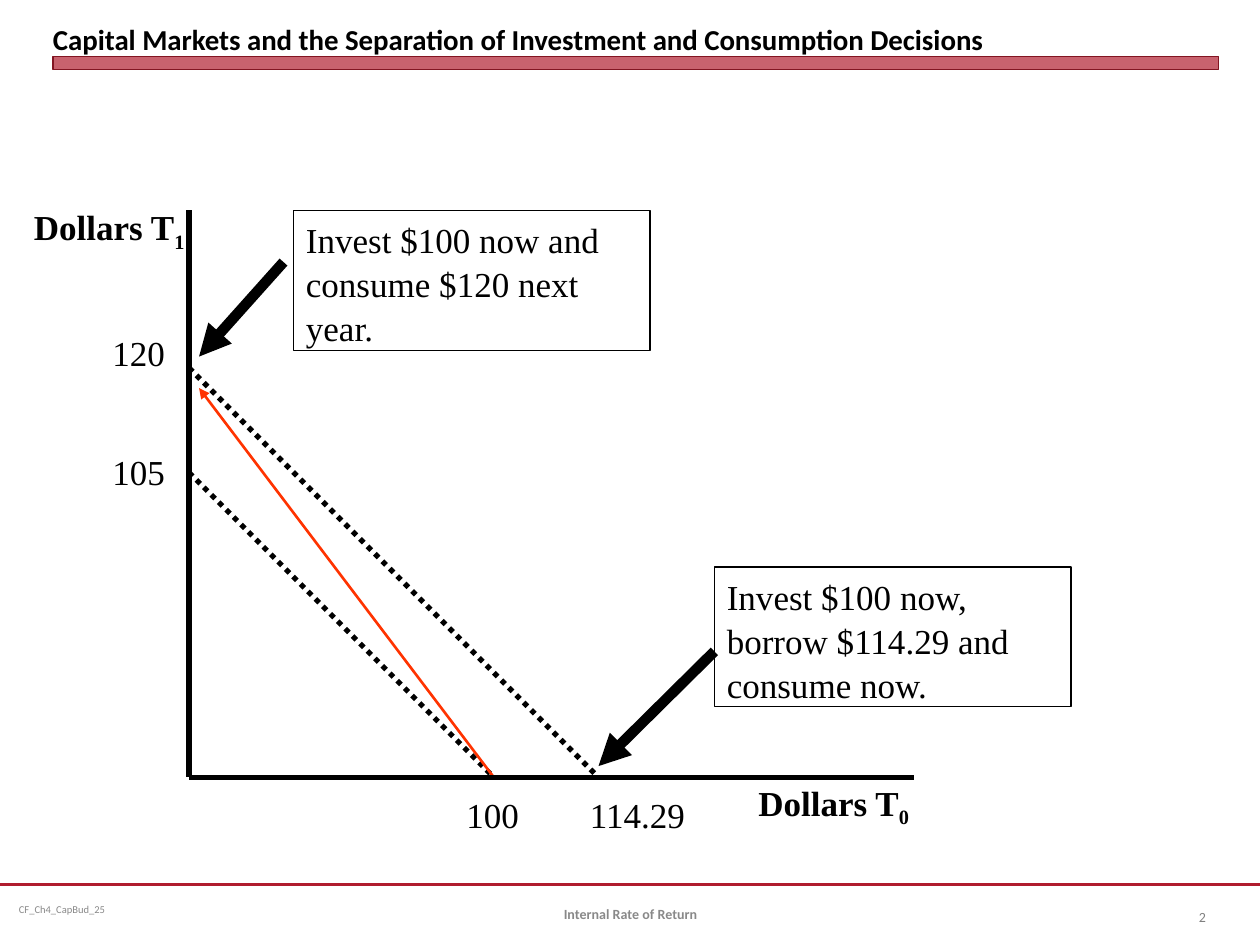
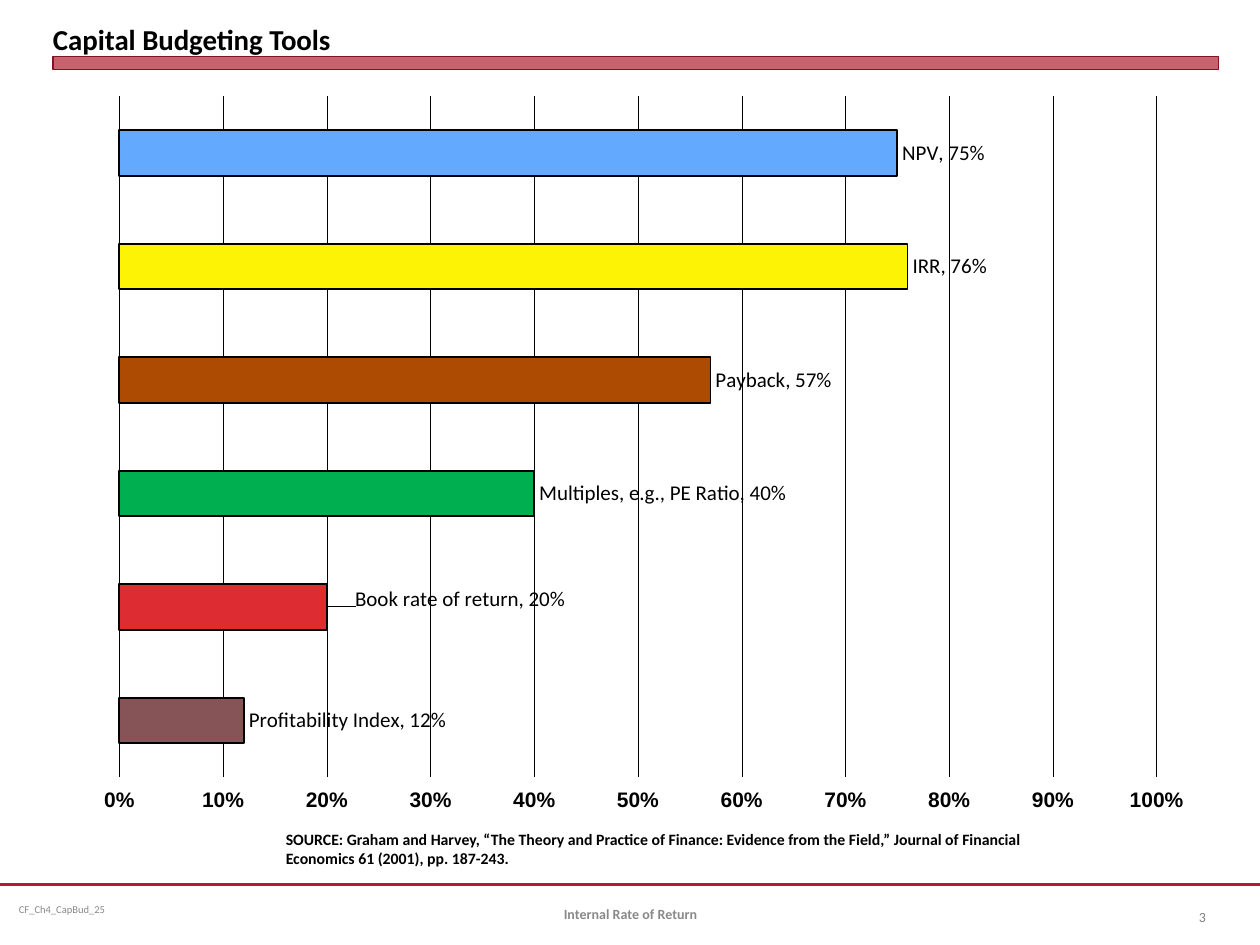
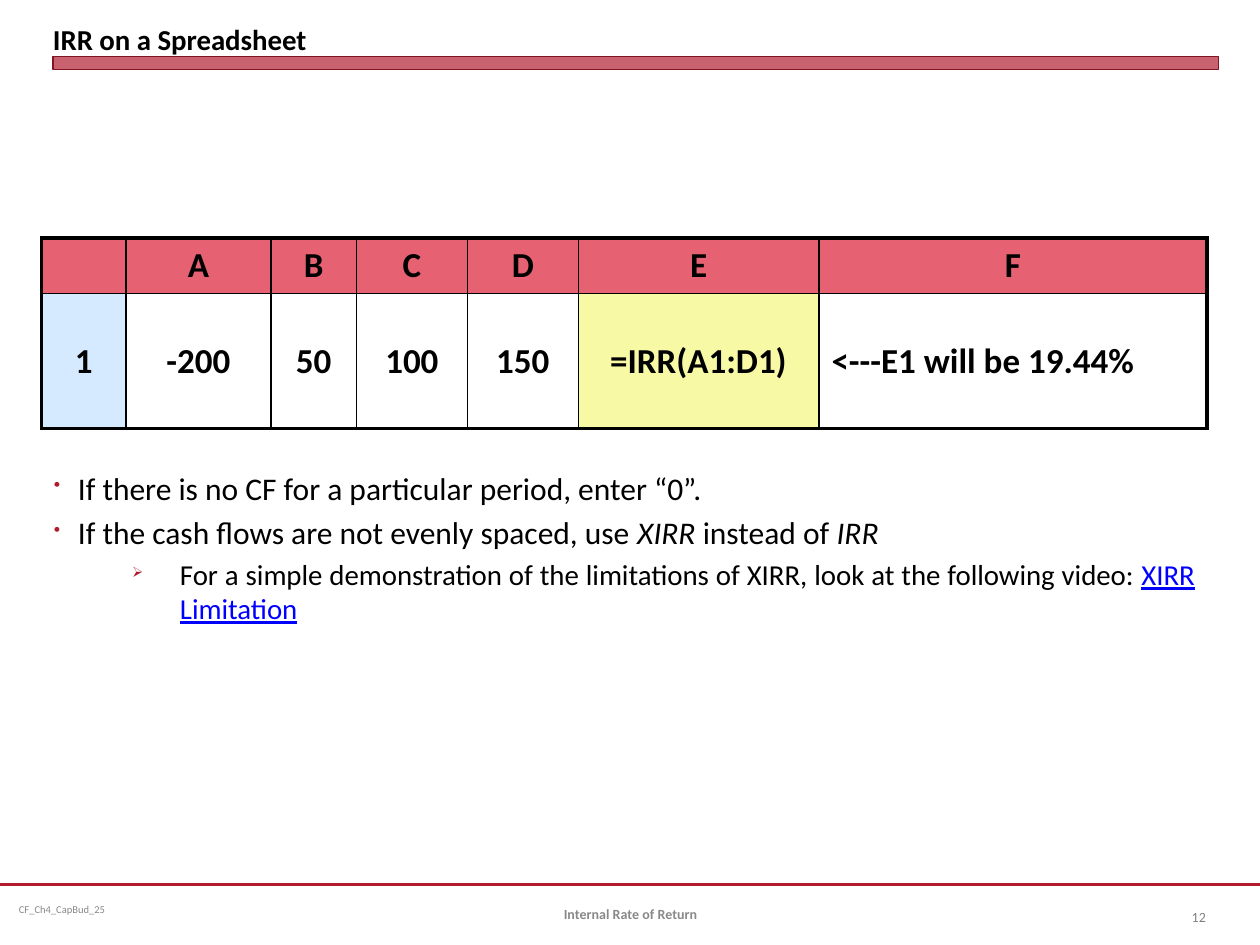
from dataclasses import dataclass

from lxml.etree import SubElement
from pptx import Presentation
from pptx.chart.data import CategoryChartData
from pptx.dml.color import RGBColor
from pptx.enum.chart import XL_CHART_TYPE as ChartType, XL_LABEL_POSITION as LabelPosition
from pptx.enum.chart import XL_TICK_MARK as TickMark
from pptx.enum.dml import MSO_LINE as Dash
from pptx.enum.shapes import MSO_CONNECTOR as Connector, MSO_SHAPE as Shape
from pptx.enum.text import MSO_ANCHOR as Anchor, MSO_AUTO_SIZE as AutoSize, PP_ALIGN as Align
from pptx.oxml import parse_xml
from pptx.oxml.ns import nsdecls, qn
from pptx.util import Inches, Pt


@dataclass(frozen=True)
class Theme:
    font: str = "Calibri"
    diagram_font: str = "Times New Roman"
    axis_font: str = "Arial"
    ink: str = "000000"
    accent: str = "B01C2E"
    accent_edge: str = "821522"
    footer: str = "898989"
    number: str = "808080"
    arrow: str = "FF3300"
    link: str = "0000FF"
    header_fill: str = "E66171"
    row_fill: str = "D6EAFF"
    formula_fill: str = "F7F9A5"
    title_size: float = 16.5
    diagram_size: float = 20
    table_size: float = 20
    bullet_size: float = 18
    sub_bullet_size: float = 16.5
    chart_size: float = 12
    source_size: float = 9
    footer_size: float = 8
    code_size: float = 6


THEME = Theme()


def rgb(value):
    return RGBColor.from_string(value)


def inches(values):
    return [Inches(value) for value in values]


def write(paragraph, text, *, size, font=THEME.font, color=THEME.ink, bold=False,
          italic=False, underline=False, baseline=0, align=Align.LEFT):
    paragraph.alignment = align
    run = paragraph.add_run()
    run.text = text
    run.font.name = font
    run.font.size = Pt(size)
    run.font.color.rgb = rgb(color)
    run.font.bold = bold
    run.font.italic = italic
    run.font.underline = underline
    if baseline:
        run.font._element.set("baseline", str(baseline * 1000))


def set_manual_layout(parent, position, inner=False, **fractions):
    for stale in parent.findall(qn("c:layout")):
        parent.remove(stale)
    layout = parse_xml(f"<c:layout {nsdecls('c')}><c:manualLayout/></c:layout>")
    settings = {"layoutTarget": "inner", "xMode": "edge", "yMode": "edge"} if inner else {}
    for tag, value in {**settings, **fractions}.items():
        SubElement(layout[0], qn(f"c:{tag}")).set("val", str(value))
    parent.insert(position, layout)


class Deck:
    def __init__(self, theme):
        self.theme = theme
        self.presentation = Presentation()
        self.presentation.slide_width = Inches(10)
        self.presentation.slide_height = Inches(7.5)
        self.slide = None

    def start(self, title, number):
        theme = self.theme
        self.slide = self.presentation.slides.add_slide(self.presentation.slide_layouts[5])
        self.line((0, 7.02), (10, 7.02), 1.25, color=theme.accent)
        self.text("CF_Ch4_CapBud_25", (0.08, 7.02, 2.58, 0.4), anchor=Anchor.MIDDLE,
                  inset=(0.07, 0.04), size=theme.code_size, color=theme.footer)
        band = self.rectangle((0.42, 0.45, 9.25, 0.1), theme.accent_edge, 0)
        band.fill.solid()
        band.fill.fore_color.rgb = rgb(theme.accent)
        band_color = band._element.spPr.find(qn("a:solidFill"))[0]
        SubElement(band_color, qn("a:alpha")).set("val", "69000")
        heading = self.slide.shapes.title
        heading.left, heading.top, heading.width, heading.height = inches((0.42, 0.05, 9.25, 0.4))
        self.frame(heading, Anchor.BOTTOM, (0, 0))
        write(heading.text_frame.paragraphs[0], title, size=theme.title_size, bold=True)
        self.text(number, (9.17, 7.08, 0.5, 0.4), anchor=Anchor.MIDDLE, align=Align.RIGHT,
                  size=theme.footer_size, color=theme.number)
        self.text("Internal Rate of Return", (3.42, 7.05, 3.17, 0.4), anchor=Anchor.MIDDLE,
                  align=Align.CENTER, size=theme.footer_size, color=theme.footer, bold=True)

    def frame(self, shape, anchor=Anchor.TOP, inset=(0.1, 0.05)):
        frame = shape.text_frame
        frame.word_wrap = True
        frame.auto_size = AutoSize.NONE
        frame.vertical_anchor = anchor
        frame.margin_left = frame.margin_right = Inches(inset[0])
        frame.margin_top = frame.margin_bottom = Inches(inset[1])
        return frame

    def text(self, text, area, anchor=Anchor.TOP, inset=(0.1, 0.05), **style):
        area_box = self.slide.shapes.add_textbox(*inches(area))
        paragraph = self.frame(area_box, anchor, inset).paragraphs[0]
        write(paragraph, text, **style)
        return paragraph

    def diagram_label(self, text, area, **style):
        return self.text(text, area, size=self.theme.diagram_size,
                         font=self.theme.diagram_font, **style)

    def axis_name(self, period, area):
        paragraph = self.diagram_label("Dollars T", area, bold=True)
        write(paragraph, period, size=self.theme.diagram_size, font=self.theme.diagram_font,
              bold=True, baseline=-25)

    def rectangle(self, area, edge, weight):
        rectangle = self.slide.shapes.add_shape(Shape.RECTANGLE, *inches(area))
        rectangle.shadow.inherit = False
        rectangle.fill.background()
        rectangle.line.color.rgb = rgb(edge)
        rectangle.line.width = Pt(weight)
        return rectangle

    def callout(self, text, left, top):
        callout = self.rectangle((left, top, 2.83, 1.11), self.theme.ink, 0.75)
        paragraph = self.frame(callout).paragraphs[0]
        paragraph.line_spacing = 1.05
        write(paragraph, text, size=self.theme.diagram_size, font=self.theme.diagram_font)

    def line(self, start, end, weight, color=THEME.ink, dash=None, arrow=False):
        line = self.slide.shapes.add_connector(Connector.STRAIGHT, *inches(start + end))
        line.line.color.rgb = rgb(color)
        line.line.width = Pt(weight)
        if dash:
            line.line.dash_style = dash
        properties = line._element.spPr
        if arrow:
            SubElement(properties.find(qn("a:ln")), qn("a:tailEnd")).set("type", "triangle")
        SubElement(properties, qn("a:effectLst"))

    def bullets(self, area, items):
        frame = self.frame(self.slide.shapes.add_textbox(*inches(area)))
        for index, (level, runs) in enumerate(items):
            paragraph = frame.add_paragraph() if index else frame.paragraphs[0]
            size = self.theme.sub_bullet_size if level else self.theme.bullet_size
            margin, hanging, scale, mark = ((1, 0.38, 50, "➢") if level
                                            else (0.19, 0.19, 60, "•"))
            paragraph.level = level
            properties = paragraph._p.get_or_add_pPr()
            properties.set("marL", str(Inches(margin)))
            properties.set("indent", str(-Inches(hanging)))
            bullet_color = SubElement(properties, qn("a:buClr"))
            SubElement(bullet_color, qn("a:srgbClr")).set("val", self.theme.accent)
            SubElement(properties, qn("a:buSzPct")).set("val", str(scale * 1000))
            SubElement(properties, qn("a:buChar")).set("char", mark)
            if index:
                paragraph.space_before = Pt(round(size * 0.2, 1))
            for text, style in runs:
                write(paragraph, text, size=size, align=Align.JUSTIFY, **style)

    def bar_chart(self, area, tools, nudged):
        theme = self.theme
        data = CategoryChartData(number_format="0%")
        data.categories = [name for name, *_ in tools]
        data.add_series("Series 1", [share for _, share, *_ in tools])
        chart = self.slide.shapes.add_chart(ChartType.BAR_CLUSTERED, *inches(area), data).chart
        chart.has_legend = chart.has_title = False
        chart.font.name, chart.font.size = theme.axis_font, Pt(theme.chart_size)
        chart.font.color.rgb = rgb(theme.ink)
        chart.category_axis.visible = False
        chart.category_axis.has_major_gridlines = False

        shares = chart.value_axis
        shares.minimum_scale, shares.maximum_scale, shares.major_unit = 0, 1, 0.1
        shares.major_tick_mark = TickMark.OUTSIDE
        shares.format.line.fill.background()
        shares.major_gridlines.format.line.color.rgb = rgb(theme.ink)
        shares.major_gridlines.format.line.width = Pt(0.15)
        shares.tick_labels.number_format = "0%"
        shares.tick_labels.number_format_is_linked = False
        shares.tick_labels.font.bold = True
        shares.tick_labels.font.size = Pt(theme.chart_size)

        plot = chart.plots[0]
        plot.gap_width = 150
        plot.vary_by_categories = False
        set_manual_layout(plot._element.getparent(), 0, inner=True,
                          x=0.057, y=0.029, w=0.89, h=0.85)
        series = plot.series[0]
        for index, (name, share, color, label) in enumerate(tools):
            point = series.points[index]
            point.format.fill.solid()
            point.format.fill.fore_color.rgb = rgb(color)
            point.format.line.color.rgb = rgb(theme.ink)
            point.format.line.width = Pt(1)
            paragraph = point.data_label.text_frame.paragraphs[0]
            write(paragraph, f"{label or name}, {share:.0%}", size=theme.chart_size)
            point.data_label.position = LabelPosition.OUTSIDE_END
            if name == nudged:
                bar_label = series._element.findall(".//" + qn("c:dLbl"))[index]
                set_manual_layout(bar_label, 1, x=0.02, y=-0.01)

    def table(self, area, widths, heights, rows, fills):
        graphic = self.slide.shapes.add_table(len(heights), len(widths), *inches(area))
        table = graphic.table
        table.first_row = table.horz_banding = False
        for column, width in zip(table.columns, widths):
            column.width = Inches(width)
        for row, height in zip(table.rows, heights):
            row.height = Inches(height)
        last_row, last_column = len(heights) - 1, len(widths) - 1
        for r, texts in enumerate(rows):
            for c, text in enumerate(texts):
                cell = table.cell(r, c)
                cell.vertical_anchor = Anchor.MIDDLE
                if text:
                    align = Align.LEFT if (r, c) == (last_row, last_column) else Align.CENTER
                    write(cell.text_frame.paragraphs[0], text, size=self.theme.table_size,
                          bold=True, align=align)
                if fills[r][c]:
                    cell.fill.solid()
                    cell.fill.fore_color.rgb = rgb(fills[r][c])
                else:
                    cell.fill.background()
                outer_sides = {"L": c == 0, "R": c == last_column,
                               "T": r == 0, "B": r == last_row}
                self.borders(cell, outer_sides)

    def borders(self, cell, outer_sides):
        properties = cell._tc.get_or_add_tcPr()
        for position, (side, outer) in enumerate(outer_sides.items()):
            weight = Pt(2.25 if outer else 1)
            properties.insert(position, parse_xml(
                f'<a:ln{side} {nsdecls("a")} w="{weight}"><a:solidFill>'
                f'<a:srgbClr val="{self.theme.ink}"/></a:solidFill></a:ln{side}>'))


def add_capital_markets(deck):
    deck.start("Capital Markets and the Separation of Investment and Consumption Decisions", "2")
    origin, now, borrowed = (1.5, 6.17), (3.92, 6.17), (4.75, 6.17)
    deck.line((1.5, 1.67), origin, 3)
    for amount, center in (("100", 3.91), ("114.29", 5.06)):
        deck.diagram_label(amount, (center - 0.6, 6.25, 1.2, 0.43), align=Align.CENTER)
    for amount, top in (("120", 2.58), ("105", 3.53)):
        deck.diagram_label(amount, (0.5, top, 1.2, 0.43), align=Align.CENTER)
    deck.axis_name("0", (5.92, 6.15, 1.67, 0.43))
    deck.axis_name("1", (0.17, 1.58, 1.67, 0.43))
    deck.line((1.5, 3.75), now, 3, dash=Dash.ROUND_DOT)
    deck.line((1.5, 2.92), borrowed, 3, dash=Dash.ROUND_DOT)
    deck.line(now, (1.58, 3.08), 1.5, color=deck.theme.arrow, arrow=True)
    deck.callout("Invest $100 now and consume $120 next year.", 2.33, 1.67)
    deck.callout("Invest $100 now, borrow $114.29 and consume now.", 5.67, 4.5)
    deck.line((5.67, 5.17), (4.75, 6.08), 6, arrow=True)
    deck.line((2.25, 2.08), (1.58, 2.83), 6, arrow=True)
    deck.line(origin, (7.25, 6.17), 3)


def add_budgeting_tools(deck):
    deck.start("Capital Budgeting Tools", "3")
    tools = [
        ("Profitability Index", 0.12, "865357", None),
        ("Book rate of return", 0.2, "DD2D32", None),
        ("PE Ratio", 0.4, "00B050", "Multiples, e.g., PE Ratio"),
        ("Payback", 0.57, "AC4B01", None),
        ("IRR", 0.76, "FCF305", None),
        ("NPV", 0.75, "63AAFE", None),
    ]
    deck.bar_chart((0.42, 0.58, 9.25, 6.36), tools, nudged="Book rate of return")
    deck.text("SOURCE: Graham and Harvey, “The Theory and Practice of Finance: Evidence from "
              "the Field,” Journal of Financial Economics 61 (2001), pp. 187-243.",
              (2.17, 6.54, 6.5, 0.4), size=deck.theme.source_size, bold=True)


def add_spreadsheet(deck):
    theme = deck.theme
    deck.start("IRR on a Spreadsheet", "12")
    deck.bullets((0.33, 3.67, 9.25, 2.75), [
        (0, [("If there is no CF for a particular period, enter “0”.", {})]),
        (0, [("If the cash flows are not evenly spaced, use ", {}), ("XIRR", {"italic": True}),
             (" instead of ", {}), ("IRR", {"italic": True})]),
        (1, [("For a simple demonstration of the limitations of XIRR, look at the following "
              "video: ", {}),
             ("XIRR Limitation", {"color": theme.link, "underline": True})]),
    ])
    deck.table(
        (0.33, 1.89, 9.25, 1.51),
        widths=[0.67, 1.15, 0.68, 0.88, 0.88, 1.91, 3.08],
        heights=[0.44, 1.07],
        rows=[["", *"ABCDEF"],
              ["1", "-200", "50", "100", "150", "=IRR(A1:D1)", "<---E1 will be 19.44%"]],
        fills=[[theme.header_fill] * 7,
               [theme.row_fill, *[None] * 4, theme.formula_fill, None]],
    )


def main():
    deck = Deck(THEME)
    add_capital_markets(deck)
    add_budgeting_tools(deck)
    add_spreadsheet(deck)
    deck.presentation.save("out.pptx")


if __name__ == "__main__":
    main()
